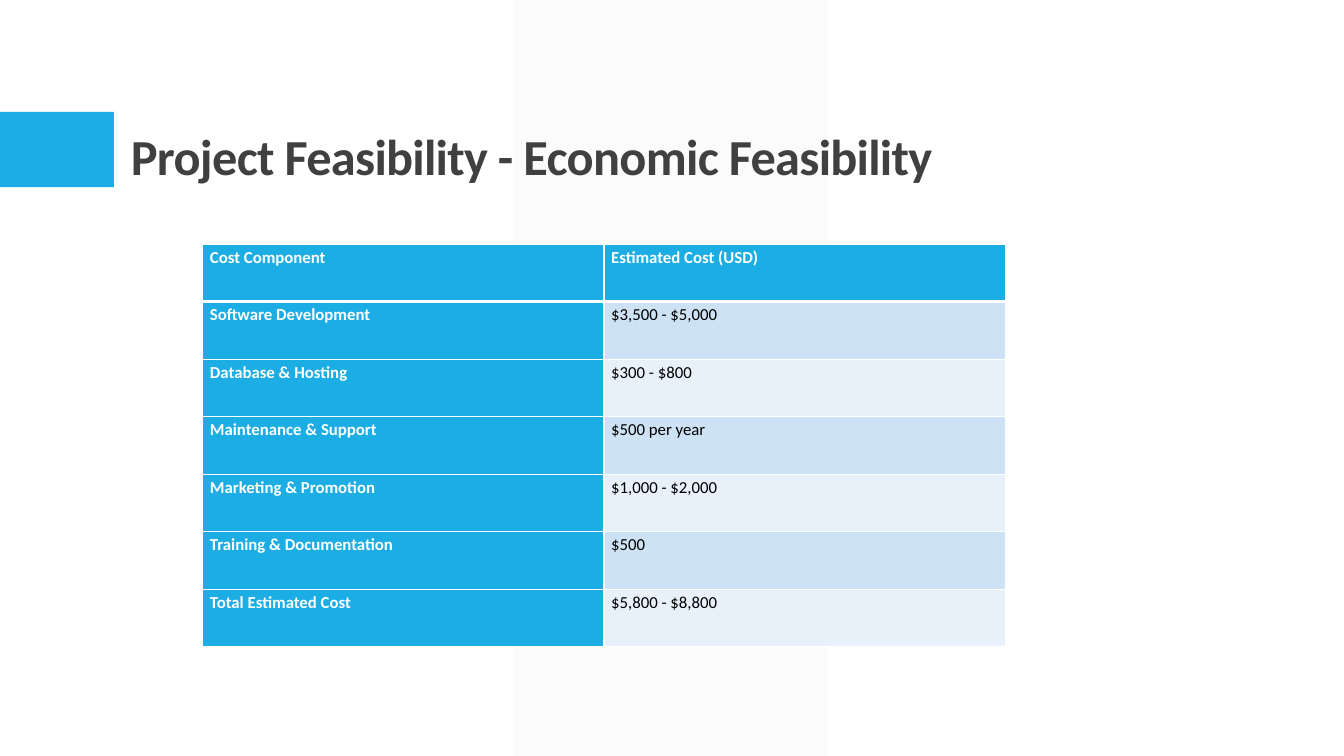
"""Build the economic feasibility slide with its cost table."""
from dataclasses import dataclass

from lxml import etree
from pptx import Presentation
from pptx.dml.color import RGBColor
from pptx.enum.shapes import MSO_SHAPE
from pptx.enum.text import MSO_ANCHOR, PP_ALIGN
from pptx.oxml.ns import qn
from pptx.util import Cm, Pt

RECTANGLE = MSO_SHAPE.RECTANGLE
PARALLELOGRAM = MSO_SHAPE.PARALLELOGRAM
BOTTOM = MSO_ANCHOR.BOTTOM
LEFT, JUSTIFY = PP_ALIGN.LEFT, PP_ALIGN.JUSTIFY

COLORS = {
    "accent": "1CADE4",
    "band": "F2F2F2",
    "title": "404040",
    "white": "FFFFFF",
    "black": "000000",
    "row_dark": "CDE3F5",
    "row_light": "E8F1FA",
}
TITLE_FONT = {"name": "Calibri", "size": Pt(36), "bold": True}
CELL_FONT = {"name": "Calibri", "size": Pt(12)}
TITLE_PARA = {"alignment": LEFT, "line_spacing": 0.9}
CELL_PARA = {"line_spacing": 1.15, "space_after": Pt(8)}
CELL_MARGINS = {
    "margin_left": Cm(0.18),
    "margin_right": Cm(0.18),
    "margin_top": 0,
    "margin_bottom": 0,
}
COSTS = [
    ("Cost Component", "Estimated Cost (USD)"),
    ("Software Development", "$3,500 - $5,000"),
    ("Database & Hosting", "$300 - $800"),
    ("Maintenance & Support", "$500 per year"),
    ("Marketing & Promotion", "$1,000 - $2,000"),
    ("Training & Documentation", "$500"),
    ("Total Estimated Cost", "$5,800 - $8,800"),
]
COLUMN_WIDTH, ROW_HEIGHT = 10.11, 1.45


@dataclass
class Block:
    """A plain filled shape, measured in centimetres."""

    kind: int
    left: float
    top: float
    width: float
    height: float
    color: str
    opacity: int = 100


BLOCKS = [
    Block(PARALLELOGRAM, 12.95, 0, 7.92, 19.05, "band", 30),
    Block(RECTANGLE, 0, 2.82, 2.87, 1.9, "accent"),
]


def rgb(name: str) -> RGBColor:
    """Look up a named colour."""
    return RGBColor.from_string(COLORS[name])


def apply(target: object, values: dict) -> None:
    """Set each format value on the target."""
    for name, value in values.items():
        setattr(target, name, value)


def add_block(page, block: Block) -> None:
    """Draw one filled shape."""
    shape = page.shapes.add_shape(
        block.kind, Cm(block.left), Cm(block.top), Cm(block.width), Cm(block.height)
    )
    shape.shadow.inherit = False
    shape.line.fill.background()
    shape.fill.solid()
    shape.fill.fore_color.rgb = rgb(block.color)
    if block.kind == PARALLELOGRAM:
        shape.adjustments[0] = 0
    if block.opacity < 100:
        color = next(shape.element.spPr.iter(qn("a:srgbClr")))
        etree.SubElement(color, qn("a:alpha"), val=str(block.opacity * 1000))


def write(frame, text: str, para_format: dict, font: dict, color: str):
    """Write one formatted paragraph and return its span."""
    para = frame.paragraphs[0]
    apply(para, para_format)
    span = para.add_run()
    span.text = text
    apply(span.font, font)
    span.font.color.rgb = rgb(color)
    return span


def add_title(page, text: str) -> None:
    """Add the slide heading."""
    box = page.shapes.add_textbox(Cm(3.05), Cm(2.64), Cm(22.99), Cm(2.18))
    apply(box.text_frame, {"word_wrap": True, "vertical_anchor": BOTTOM})
    span = write(box.text_frame, text, TITLE_PARA, TITLE_FONT, "title")
    span.font._element.set("spc", "-50")


def add_borders(cell, widths: dict[str, int]) -> None:
    """Give a cell white borders of the given point widths."""
    properties = cell._tc.get_or_add_tcPr()
    for side, width in widths.items():
        line = etree.SubElement(properties, qn(f"a:ln{side}"), w=str(Pt(width)))
        fill = etree.SubElement(line, qn("a:solidFill"))
        etree.SubElement(fill, qn("a:srgbClr"), val=COLORS["white"])


def fill_cell(cell, text: str, row: int, column: int) -> None:
    """Format and fill one table cell."""
    is_heading = row == 0 or column == 0
    banding = "row_dark" if row % 2 else "row_light"
    apply(cell, CELL_MARGINS)
    add_borders(
        cell, {"L": 1, "R": 1, "T": 3 if row == 1 else 1, "B": 3 if row == 0 else 1}
    )
    cell.fill.solid()
    cell.fill.fore_color.rgb = rgb("accent" if is_heading else banding)
    alignment = LEFT if (row, column) == (1, 1) else JUSTIFY
    write(
        cell.text_frame,
        text,
        CELL_PARA | {"alignment": alignment},
        CELL_FONT | {"bold": is_heading},
        "white" if is_heading else "black",
    )


def add_cost_table(page) -> None:
    """Add the table of estimated costs."""
    rows, columns = len(COSTS), len(COSTS[0])
    table = page.shapes.add_table(
        rows, columns, Cm(5.11), Cm(6.15),
        Cm(COLUMN_WIDTH * columns), Cm(ROW_HEIGHT * rows),
    ).table
    for row, texts in enumerate(COSTS):
        table.rows[row].height = Cm(ROW_HEIGHT)
        for column, text in enumerate(texts):
            fill_cell(table.cell(row, column), text, row, column)


def main() -> None:
    """Build and save the deck."""
    deck = Presentation()
    deck.slide_width, deck.slide_height = Cm(33.87), Cm(19.05)
    page = deck.slides.add_slide(deck.slide_layouts[6])
    for block in BLOCKS:
        add_block(page, block)
    add_title(page, "Project Feasibility - Economic Feasibility")
    add_cost_table(page)
    deck.save("out.pptx")


if __name__ == "__main__":
    main()
